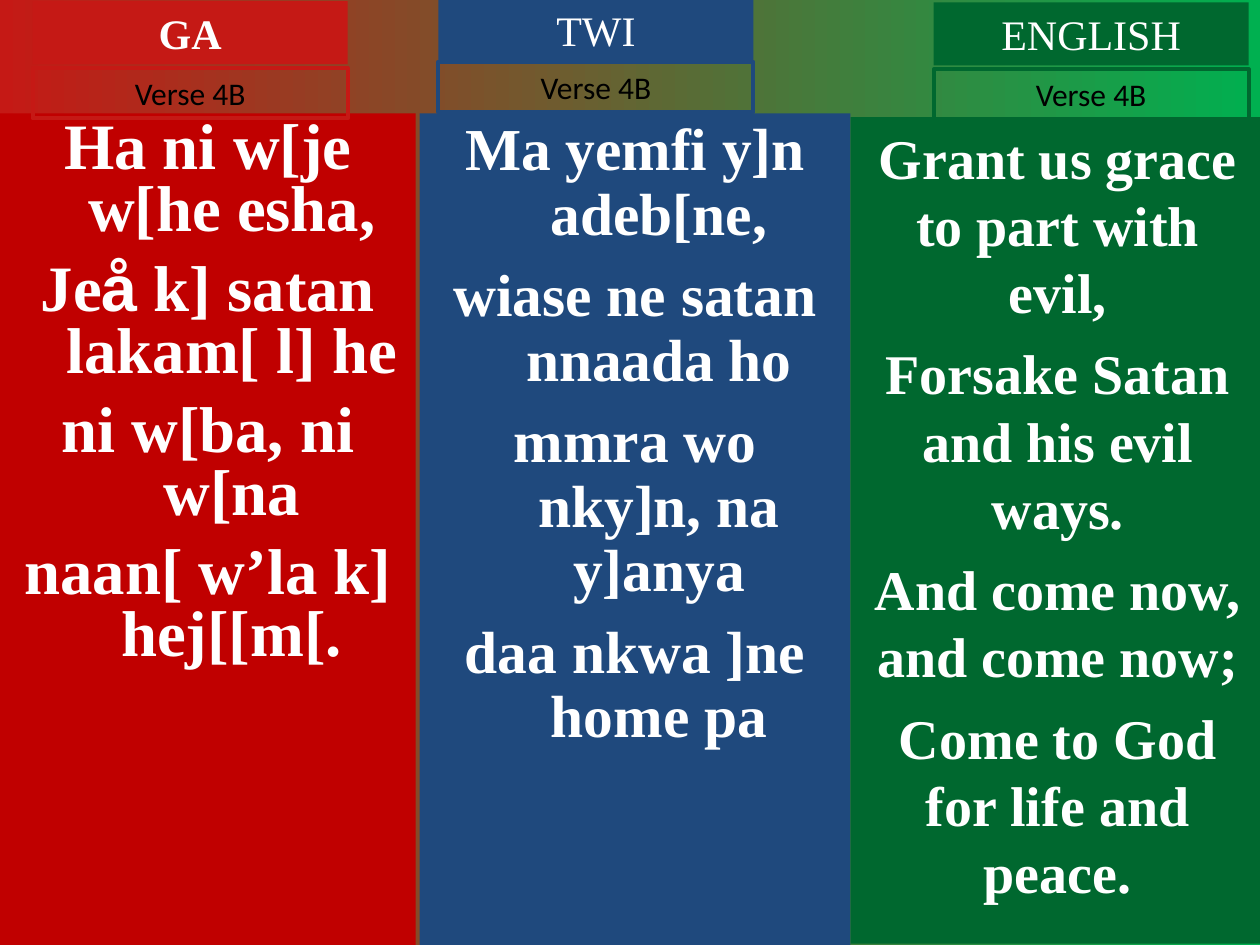
from dataclasses import dataclass

from pptx import Presentation
from pptx.dml.color import RGBColor
from pptx.enum.shapes import MSO_SHAPE as Preset
from pptx.enum.text import MSO_ANCHOR as Anchor, MSO_AUTO_SIZE as AutoSize, PP_ALIGN as Align
from pptx.util import Inches, Pt

WHITE = RGBColor(0xFF, 0xFF, 0xFF)
BLACK = RGBColor(0x00, 0x00, 0x00)
SCARLET = RGBColor(0xC5, 0x19, 0x15)
RED = RGBColor(0xC0, 0x00, 0x00)
BLUE = RGBColor(0x1F, 0x49, 0x7D)
GREEN = RGBColor(0x00, 0x68, 0x2F)
BRIGHT_GREEN = RGBColor(0x00, 0xB0, 0x50)

SERIF, SANS, SYMBOL = "Times New Roman", "Calibri", "Arial"
COLUMNS, ROWS = 100, 75
CELL = Inches(10) // COLUMNS
TAB_WIDTH, HEADING_HEIGHT, VERSE_HEIGHT = 25, 5, 4
HANGING = 0.38


@dataclass
class Box:
    left: float
    top: float
    width: float
    height: float

    def inner(self, left, top, width, height):
        return Box(self.left + left, self.top + top, width, height)

    def lengths(self):
        return [round(cells * CELL) for cells in (self.left, self.top, self.width, self.height)]


@dataclass
class Language:
    name: str
    lines: list
    panel: Box
    tab_offset: tuple
    verse_gap: float
    colour: RGBColor
    tab_colour: RGBColor
    size: int
    space_before: int = 10
    line_spacing: float = 1.0
    hanging: bool = True
    bold_name: bool = False


def add_rectangle(page, box, fill=None, line=None):
    shape = page.shapes.add_shape(Preset.RECTANGLE, *box.lengths())
    shape.shadow.inherit = False
    if fill is None:
        shape.fill.background()
    else:
        shape.fill.solid()
        shape.fill.fore_color.rgb = fill
    if line is None:
        shape.line.fill.background()
    else:
        shape.line.color.rgb = line
        shape.line.width = Pt(2.25)
    shape.text_frame.word_wrap = True
    shape.text_frame.vertical_anchor = Anchor.TOP
    return shape


def style_span(span, font, size, colour, bold):
    span.font.name = font
    span.font.size = Pt(size)
    span.font.color.rgb = colour
    span.font.bold = bold


def add_label(page, box, text, font, size, colour, bold=False, **paint):
    frame = add_rectangle(page, box, **paint).text_frame
    frame.auto_size = AutoSize.SHAPE_TO_FIT_TEXT
    frame.text = text
    para = frame.paragraphs[0]
    para.alignment = Align.CENTER
    style_span(para.runs[0], font, size, colour, bold)


def add_lyrics(page, language):
    frame = add_rectangle(page, language.panel, fill=language.colour).text_frame
    for index, line in enumerate(language.lines):
        para = frame.add_paragraph() if index else frame.paragraphs[0]
        para.alignment = Align.CENTER
        para.line_spacing = language.line_spacing
        para.space_before = Pt(language.space_before if index else 0)
        if language.hanging:
            properties = para._p.get_or_add_pPr()
            properties.set("marL", str(Inches(HANGING)))
            properties.set("indent", str(-Inches(HANGING)))
        before, symbol, after = line.partition("å")
        for text in filter(None, (before, symbol, after)):
            span = para.add_run()
            span.text = text
            style_span(span, SYMBOL if text == "å" else SERIF, language.size, WHITE, True)


def add_language_column(page, language):
    add_lyrics(page, language)
    left, top = language.tab_offset
    heading = language.panel.inner(left, top, TAB_WIDTH, HEADING_HEIGHT)
    verse = heading.inner(0, language.verse_gap, TAB_WIDTH, VERSE_HEIGHT)
    add_label(page, heading, language.name, SERIF, 24, WHITE, language.bold_name,
              fill=language.tab_colour)
    add_label(page, verse, "Verse 4B", SANS, 18, BLACK, line=language.tab_colour)


def paint_background(page):
    fill = page.background.fill
    fill.gradient()
    fill.gradient_angle = 0
    for stop, position, colour in zip(fill.gradient_stops, (0, 1), (SCARLET, BRIGHT_GREEN)):
        stop.position = position
        stop.color.rgb = colour


LANGUAGES = [
    Language("GA",
             ["Ha ni w[je w[he esha,", "Jeå k] satan lakam[ l] he",
              "ni w[ba, ni w[na", "naan[ w’la k] hej[[m[."],
             Box(0, 9, 33, 66), (2.6, -8.9), 5.3, RED, SCARLET, 37,
             line_spacing=0.8, bold_name=True),
    Language("TWI",
             ["Ma yemfi y]n adeb[ne,", "wiase ne satan nnaada ho",
              "mmra wo nky]n, na y]anya", "daa nkwa ]ne home pa"],
             Box(33.3, 9, 34.2, 66), (1.5, -9.1), 5, BLUE, BLUE, 34,
             line_spacing=0.9),
    Language("ENGLISH",
             ["Grant us grace to part with evil,", "Forsake Satan and his evil ways.",
              "And come now, and come now;", "Come to God for life and peace."],
             Box(67.5, 9.3, 32.9, 65.6), (6.6, -9.1), 5.3, GREEN, GREEN, 32,
             space_before=8, hanging=False),
]


def main():
    deck = Presentation()
    deck.slide_width = COLUMNS * CELL
    deck.slide_height = ROWS * CELL
    page = deck.slides.add_slide(deck.slide_layouts[6])
    paint_background(page)
    for language in LANGUAGES:
        add_language_column(page, language)
    deck.save("out.pptx")


if __name__ == "__main__":
    main()
